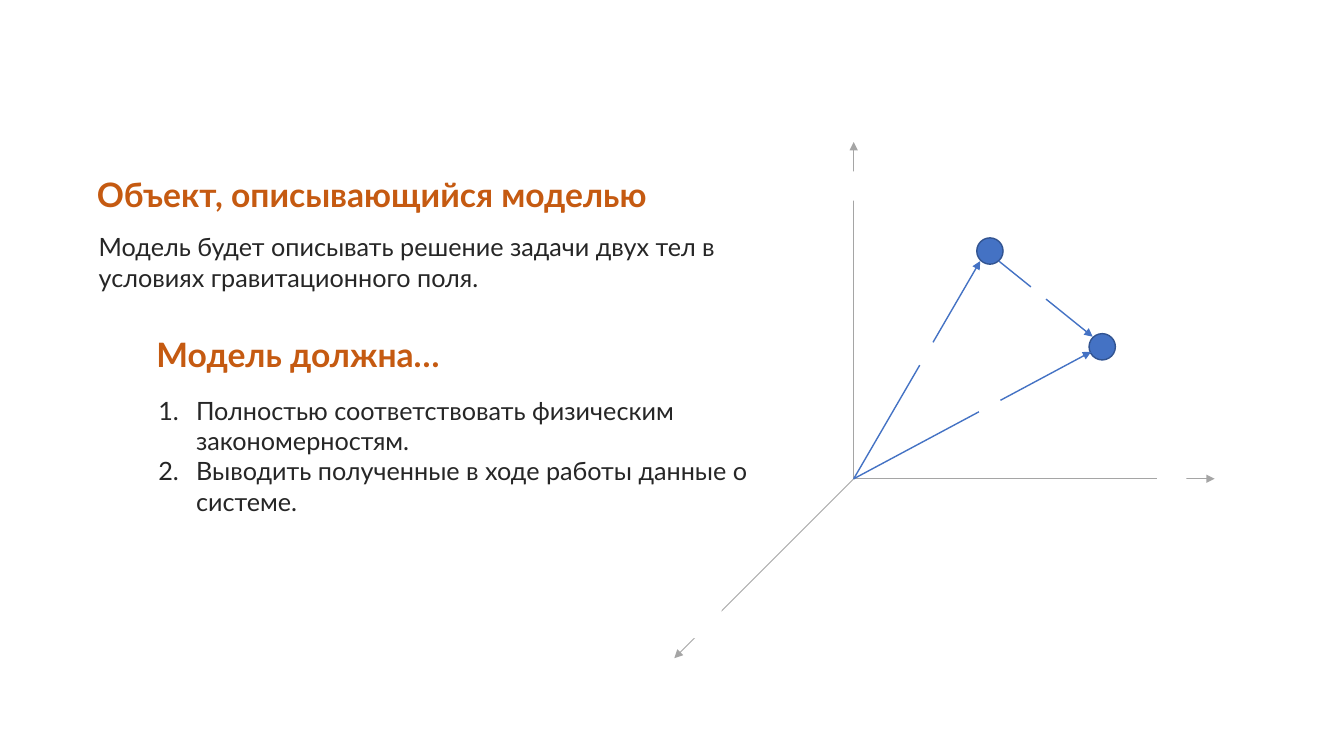
"""Build the slide describing a two-body model and its coordinate diagram."""
import pptx
import pptx.dml.color
import pptx.enum.shapes
import pptx.enum.text
import pptx.oxml
import pptx.oxml.ns
import pptx.util

Pt = pptx.util.Pt
RGBColor = pptx.dml.color.RGBColor
SHAPES = pptx.enum.shapes.MSO_SHAPE
NAMESPACE = pptx.oxml.ns.nsdecls("a")
COLORS = {
    "heading": "C55A11",
    "text": "262626",
    "axis": "A5A5A5",
    "body": "4472C4",
    "outline": "325491",
    "background": "FFFFFF",
}


def fill_text(shape, box, lines, size, color, bold=False, numbered=False):
    shape.left, shape.top, shape.width, shape.height = map(Pt, box)
    frame = shape.text_frame
    frame.word_wrap = True
    frame.auto_size = pptx.enum.text.MSO_AUTO_SIZE.SHAPE_TO_FIT_TEXT
    frame.vertical_anchor = pptx.enum.text.MSO_ANCHOR.TOP
    for index, line in enumerate(lines):
        paragraph = frame.paragraphs[0] if index == 0 else frame.add_paragraph()
        paragraph.alignment = pptx.enum.text.PP_ALIGN.LEFT
        if numbered:
            properties = paragraph._p.get_or_add_pPr()
            properties.set("marL", str(Pt(27)))
            properties.set("indent", str(-Pt(27)))
            properties.append(pptx.oxml.parse_xml(
                f'<a:buFont {NAMESPACE} typeface="+mj-lt"/>'))
            properties.append(pptx.oxml.parse_xml(
                f'<a:buAutoNum {NAMESPACE} type="arabicPeriod"/>'))
        run = paragraph.add_run()
        run.text = line
        run.font.name = "Lato"
        run.font.size = Pt(size)
        run.font.bold = bold
        run.font.color.rgb = RGBColor.from_string(COLORS[color])


def add_arrow(slide, start, end, color, width):
    arrow = slide.shapes.add_connector(
        pptx.enum.shapes.MSO_CONNECTOR.STRAIGHT, *map(Pt, start + end))
    arrow.line.color.rgb = RGBColor.from_string(COLORS[color])
    arrow.line.width = Pt(width)
    arrow.line._get_or_add_ln().append(pptx.oxml.parse_xml(
        f'<a:tailEnd {NAMESPACE} type="triangle"/>'))
    arrow._element.spPr.append(pptx.oxml.parse_xml(f"<a:effectLst {NAMESPACE}/>"))


presentation = pptx.Presentation()
presentation.slide_width = Pt(960)
presentation.slide_height = Pt(540)
slide = presentation.slides.add_slide(presentation.slide_layouts[5])

fill_text(slide.shapes.title, (62, 120.3, 433.5, 36),
          ["Объект, описывающийся моделью"], 24, "heading", bold=True)
text_blocks = [
    ((63.4, 162, 490.3, 51),
     ["Модель будет описывать решение задачи двух тел в условиях гравитационного поля."],
     18, "text", False, False),
    ((104.7, 235, 272, 36), ["Модель должна…"], 24, "heading", True, False),
    ((106, 278.8, 443, 116.6),
     ["Полностью соответствовать физическим закономерностям.",
      "Выводить полученные в ходе работы данные о системе."],
     18, "text", False, True),
]
for box, lines, size, color, bold, numbered in text_blocks:
    text_box = slide.shapes.add_textbox(0, 0, 0, 0)
    fill_text(text_box, box, lines, size, color, bold, numbered)

origin = (609.8, 342)
for axis_end in [(609.8, 101.5), (867.6, 342), (481.7, 470.1)]:
    add_arrow(slide, origin, axis_end, "axis", 0.5)

for left, top in [(697.7, 169.9), (777.9, 238.3)]:
    body = slide.shapes.add_shape(SHAPES.OVAL, Pt(left), Pt(top), Pt(18.8), Pt(18.8))
    body.shadow.inherit = False
    body.fill.solid()
    body.fill.fore_color.rgb = RGBColor.from_string(COLORS["body"])
    body.line.color.rgb = RGBColor.from_string(COLORS["outline"])
    body.line.width = Pt(1)

vectors = [
    (origin, (700.2, 186.5)),
    (origin, (779.4, 251.3)),
    ((713.5, 186.5), (780.5, 240.5)),
]
for start, end in vectors:
    add_arrow(slide, start, end, "body", 1)

label_gaps = [
    (653, 244, 18.7, 18, 300.9),
    (697.7, 280.1, 17.3, 17.3, 334.5),
    (735.1, 202.3, 13.7, 13.7, 40.3),
    (494.6, 434.9, 20.9, 20.9, 0),
    (599.8, 122.4, 20.9, 20.9, 0),
    (826.6, 331.9, 20.9, 20.9, 0),
]
for left, top, width, height, rotation in label_gaps:
    gap = slide.shapes.add_shape(
        SHAPES.RECTANGLE, Pt(left), Pt(top), Pt(width), Pt(height))
    gap.shadow.inherit = False
    gap.rotation = rotation
    gap.fill.solid()
    gap.fill.fore_color.rgb = RGBColor.from_string(COLORS["background"])
    gap.line.fill.background()

presentation.save("out.pptx")
